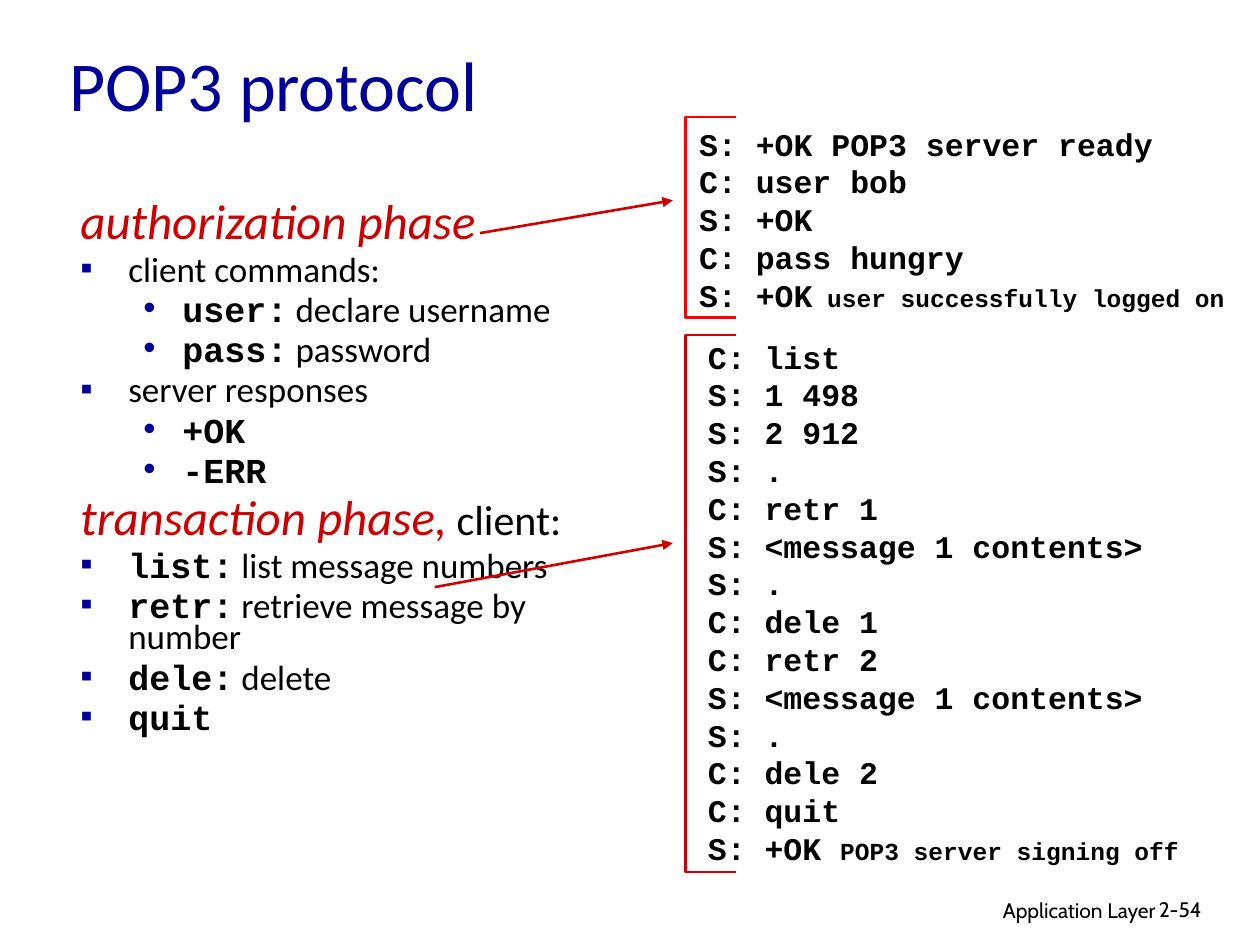
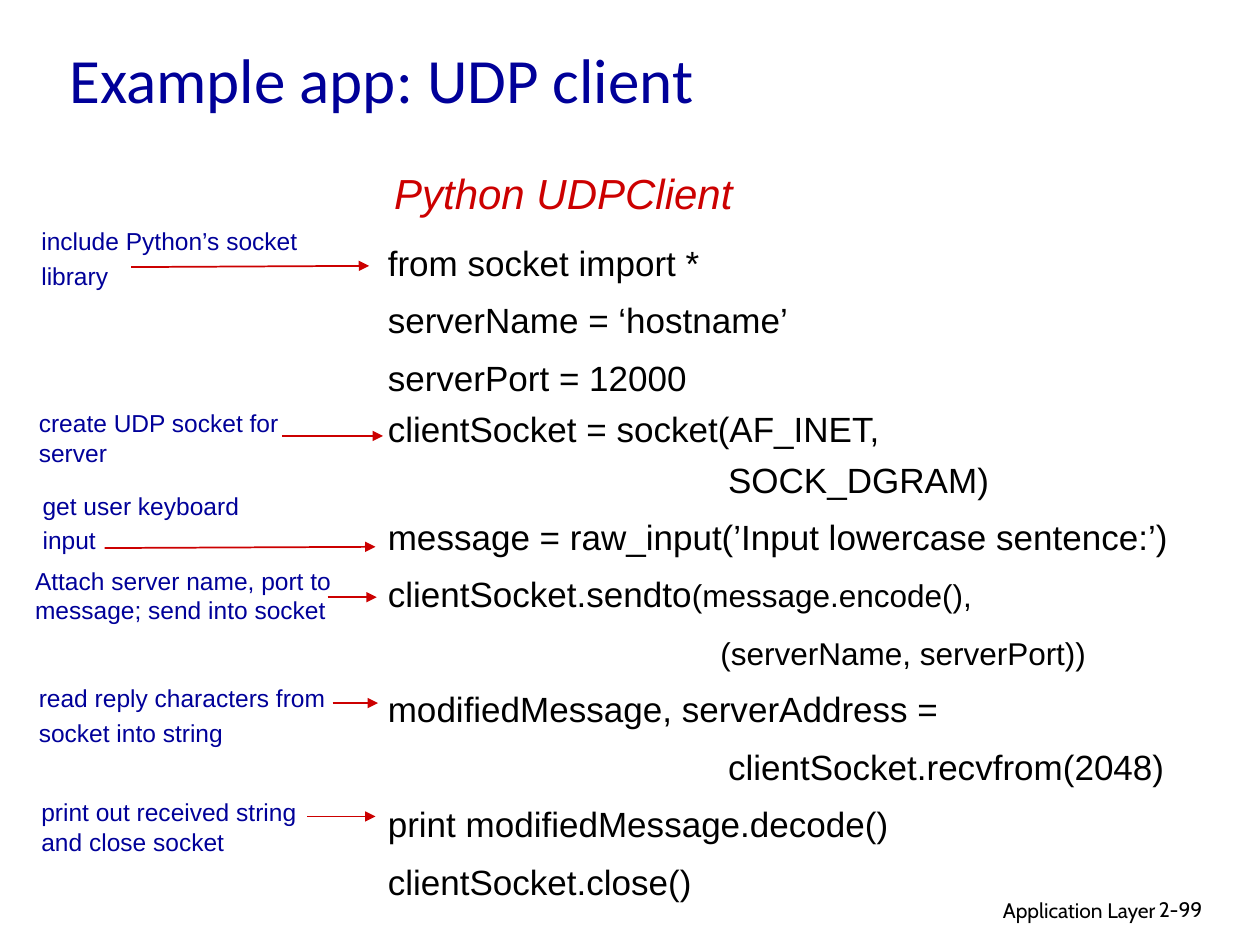
from lxml.etree import SubElement
from pptx import Presentation
from pptx.dml.color import RGBColor
from pptx.enum.shapes import MSO_CONNECTOR
from pptx.enum.text import MSO_ANCHOR, MSO_AUTO_SIZE, PP_ALIGN
from pptx.oxml.ns import qn
from pptx.util import Inches, Pt

BLUE, RED, BRIGHT_RED, BLACK = "000099", "CC0000", "FF0000", "000000"
BODY_FONT, CODE_FONT, PLAIN_FONT, FOOTER_FONT = "Calibri", "Courier New", "Arial", "Cabin"


def color_of(hex_string):
    return RGBColor.from_string(hex_string)


def add_run(paragraph, text, font=BODY_FONT, size=20, color=BLACK, bold=False, italic=False):
    run = paragraph.add_run()
    run.text = text
    run.font.name = font
    run.font.size = Pt(size)
    run.font.color.rgb = color_of(color)
    run.font.bold = bold
    run.font.italic = italic


def set_spacing(paragraph, before=0, line=None):
    paragraph.space_before = Pt(before)
    if line:
        paragraph.line_spacing = line


def set_indent(paragraph, left, first=0.0):
    properties = paragraph._p.get_or_add_pPr()
    properties.set("marL", str(Inches(left)))
    properties.set("indent", str(Inches(first)))
    return properties


def set_bullet(properties, character):
    bullet_color = SubElement(properties, qn("a:buClr"))
    SubElement(bullet_color, qn("a:srgbClr"), val=BLUE)
    SubElement(properties, qn("a:buFont"), typeface=PLAIN_FONT)
    SubElement(properties, qn("a:buChar"), char=character)


class SlideBuilder:
    def __init__(self):
        self.presentation = Presentation()
        self.presentation.slide_width = Inches(10)
        self.presentation.slide_height = Inches(7.5)
        self.slide = None

    def start_slide(self, title, number, top, size):
        self.slide = self.presentation.slides.add_slide(self.presentation.slide_layouts[5])
        shape = self.slide.shapes.title
        shape.left, shape.top = Inches(0.45), Inches(top)
        shape.width, shape.height = Inches(8.5), Inches(1.05)
        frame = shape.text_frame
        frame.auto_size = MSO_AUTO_SIZE.NONE
        frame.vertical_anchor = MSO_ANCHOR.MIDDLE
        frame.paragraphs[0].alignment = PP_ALIGN.LEFT
        add_run(frame.paragraphs[0], title, size=size, color=BLUE)
        footer = self.text_box(6.1, 7.07, 3.17, 0.31, ["Application Layer"], font=FOOTER_FONT, size=12)
        footer[0].alignment = PP_ALIGN.RIGHT
        self.text_box(9.1, 7.07, 0.74, 0.3, [number], font=FOOTER_FONT, size=12)

    def text_box(self, left, top, width, height, lines, before=0, line=None, **style):
        shape = self.slide.shapes.add_textbox(Inches(left), Inches(top), Inches(width), Inches(height))
        frame = shape.text_frame
        frame.word_wrap = True
        for index, text in enumerate(lines):
            paragraph = frame.add_paragraph() if index else frame.paragraphs[0]
            set_spacing(paragraph, before, line)
            if text:
                add_run(paragraph, text, **style)
        return frame.paragraphs

    def outline(self, left, top, width, height, items):
        paragraphs = self.text_box(left, top, width, height, [""] * len(items))
        for paragraph, (kind, lead, rest) in zip(paragraphs, items):
            heading = kind == "heading"
            set_spacing(paragraph, 6 if heading else 5, 0.75)
            if kind == "detail":
                set_bullet(set_indent(paragraph, 0.81, -0.31), "•")
            else:
                properties = set_indent(paragraph, 0.38, -0.38)
                if not heading:
                    set_bullet(properties, "▪")
            if heading:
                add_run(paragraph, lead, size=28, color=RED, italic=True)
            elif lead:
                add_run(paragraph, lead, font=CODE_FONT, bold=True)
            if rest:
                add_run(paragraph, rest, size=24 if heading else 20)

    def transcript(self, left, top, width, height, lines, remark):
        paragraphs = self.text_box(left, top, width, height, lines, font=CODE_FONT, size=18, bold=True)
        add_run(paragraphs[-1], remark, font=CODE_FONT, size=14, bold=True)

    def bracket(self, left, top, width, height, color):
        right, bottom = left + width, top + height
        builder = self.slide.shapes.build_freeform(Inches(right), Inches(top))
        corners = [(left, top), (left, bottom), (right, bottom)]
        builder.add_line_segments([(Inches(x), Inches(y)) for x, y in corners], close=False)
        shape = builder.convert_to_shape()
        shape.shadow.inherit = False
        shape.fill.background()
        shape.line.color.rgb = color_of(color)
        shape.line.width = Pt(1.5)

    def arrow(self, start, end, width):
        connector = self.slide.shapes.add_connector(
            MSO_CONNECTOR.STRAIGHT, *[Inches(value) for value in (*start, *end)])
        connector.line.color.rgb = color_of(RED)
        connector.line.width = Pt(width)
        SubElement(connector.line._get_or_add_ln(), qn("a:tailEnd"), type="triangle")
        SubElement(connector._element.spPr, qn("a:effectLst"))

    def code_listing(self, left, top, width, height, rows):
        paragraphs = self.text_box(left, top, width, height, [""] * len(rows))
        for paragraph, (text, small_text, indent, line) in zip(paragraphs, rows):
            set_spacing(paragraph, 4.5 if small_text else 5, Pt(line))
            set_indent(paragraph, indent)
            for part, size in ((text, 20), (small_text, 18)):
                if part:
                    add_run(paragraph, part, font=PLAIN_FONT, size=size)

    def note(self, left, top, lines, line, start, end):
        self.text_box(left, top, 2.57, 0.6, lines, before=3.5, line=line,
                      font=PLAIN_FONT, size=14, color=BLUE)
        self.arrow(start, end, 1)


def build_pop3_slide(builder):
    builder.start_slide("POP3 protocol", "2-54", top=0.14, size=40)
    builder.outline(0.54, 1.57, 4.34, 5.08, [
        ("heading", "authorization phase", ""),
        ("point", "", "client commands:"),
        ("detail", "user:", " declare username"),
        ("detail", "pass:", " password"),
        ("point", "", "server responses"),
        ("detail", "+OK", ""),
        ("detail", "-ERR", ""),
        ("heading", "transaction phase,", " client:"),
        ("point", "list:", " list message numbers"),
        ("point", "retr:", " retrieve message by number"),
        ("point", "dele:", " delete"),
        ("point", "quit", ""),
    ])
    builder.transcript(5.52, 2.63, 4.2, 4.3, [
        "C: list", "S: 1 498", "S: 2 912", "S: .",
        "C: retr 1", "S: <message 1 contents>", "S: .", "C: dele 1",
        "C: retr 2", "S: <message 1 contents>", "S: .", "C: dele 2",
        "C: quit", "S: +OK ",
    ], "POP3 server signing off")
    builder.transcript(5.45, 0.94, 4.5, 1.6, [
        "S: +OK POP3 server ready", "C: user bob", "S: +OK", "C: pass hungry", "S: +OK",
    ], " user successfully logged on")
    builder.bracket(5.44, 0.93, 0.4, 1.59, BRIGHT_RED)
    builder.arrow((3.81, 1.85), (5.34, 1.59), 1.5)
    builder.bracket(5.44, 2.66, 0.4, 4.26, RED)
    builder.arrow((3.45, 4.66), (5.34, 4.31), 1.5)


def build_udp_slide(builder):
    builder.start_slide("Example app: UDP client", "2-99", top=0.1, size=36)
    builder.code_listing(2.98, 1.81, 6.6, 5.4, [
        ("from socket import *", "", 0, 28),
        ("serverName = ‘hostname’", "", 0, 28),
        ("serverPort = 12000", "", 0, 28),
        ("clientSocket = socket(AF_INET,", "", 0, 24),
        ("SOCK_DGRAM)", "", 2.7, 24),
        ("message = raw_input(’Input lowercase sentence:’)", "", 0, 28),
        ("clientSocket.sendto", "(message.encode(),", 0, 28),
        ("", "(serverName, serverPort))", 2.64, 28),
        ("modifiedMessage, serverAddress =", "", 0, 28),
        ("clientSocket.recvfrom(2048)", "", 2.7, 28),
        ("print modifiedMessage.decode()", "", 0, 28),
        ("clientSocket.close()", "", 0, 28),
    ])
    builder.text_box(3.03, 1.28, 3.2, 0.5, ["Python UDPClient"], before=6,
                     font=PLAIN_FONT, size=24, color=RED, italic=True)
    tight = Pt(16)
    notes = [
        (0.23, 1.76, ["include Python’s socket", "library"], tight, (1.04, 2.12), (2.93, 2.11)),
        (0.21, 3.19, ["create UDP socket for server"], None, (2.24, 3.46), (3.04, 3.46)),
        (0.24, 3.86, ["get user keyboard", "input"], tight, (0.83, 4.35), (2.98, 4.34)),
        (0.18, 4.44, ["Attach server name, port to message; send into socket"], None,
         (2.6, 4.74), (2.99, 4.74)),
        (0.21, 5.37, ["read reply characters from", "socket into string"], None,
         (2.64, 5.58), (3, 5.58)),
        (0.23, 6.28, ["print out received string and close socket"], None,
         (2.44, 6.48), (2.98, 6.48)),
    ]
    for note in notes:
        builder.note(*note)


def main():
    builder = SlideBuilder()
    build_pop3_slide(builder)
    build_udp_slide(builder)
    builder.presentation.save("out.pptx")


if __name__ == "__main__":
    main()
